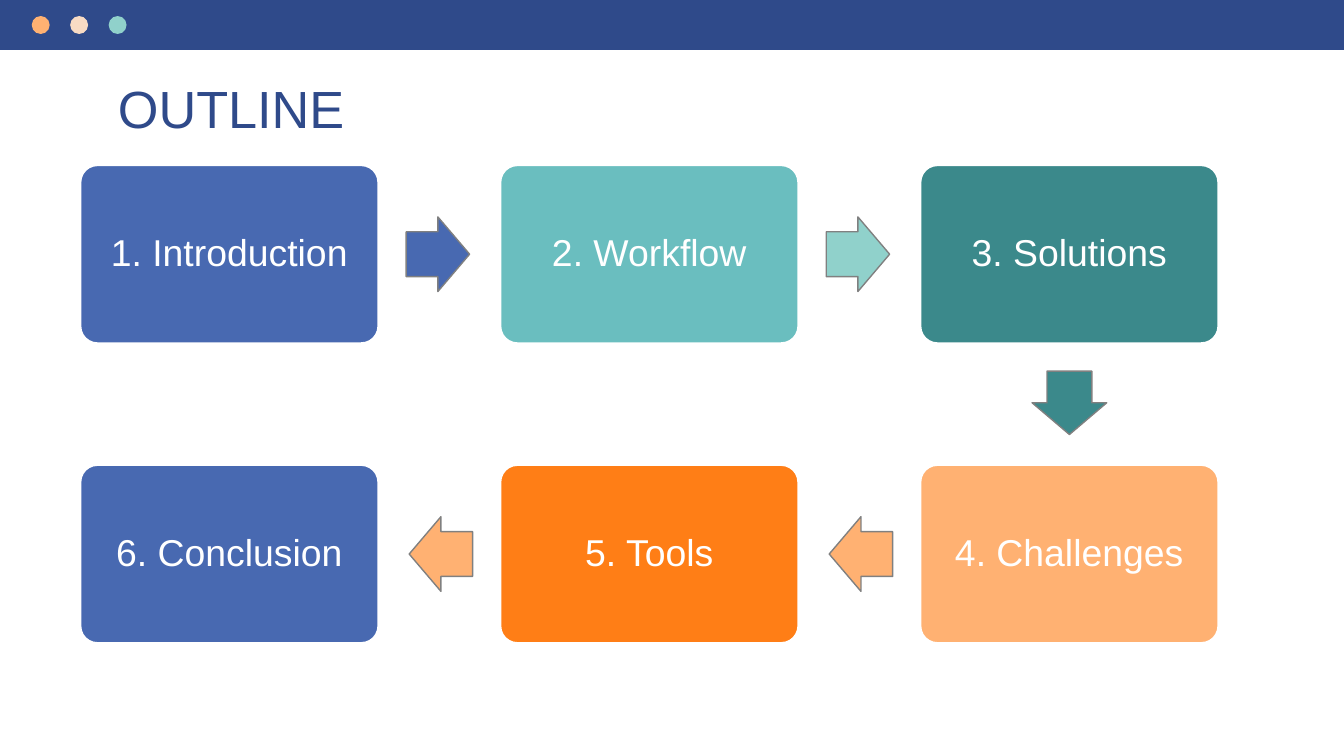
import dataclasses

import pptx
import pptx.dml.color
import pptx.enum.shapes
import pptx.enum.text
import pptx.util

Pt = pptx.util.Pt
SHAPES = pptx.enum.shapes.MSO_SHAPE
ANCHOR = pptx.enum.text.MSO_ANCHOR
ALIGN = pptx.enum.text.PP_ALIGN


@dataclasses.dataclass(frozen=True)
class Theme:
    font: str = "Arial"
    title_size: float = 28
    step_size: float = 20
    navy: str = "2F4A8A"
    blue: str = "4869B1"
    aqua: str = "6ABEBF"
    mint: str = "90D1CB"
    teal: str = "3B898B"
    peach: str = "FFB172"
    cream: str = "F8DBC4"
    orange: str = "FF7E16"
    white: str = "FFFFFF"
    gray: str = "808080"


@dataclasses.dataclass(frozen=True)
class Box:
    left: float
    top: float
    width: float
    height: float


THEME = Theme()

# Label, column, row, box colour, colour and rotation of the arrow leaving it
STEPS = [
    ("1. Introduction", 0, 0, THEME.blue, THEME.blue, 0),
    ("2. Workflow", 1, 0, THEME.aqua, THEME.mint, 0),
    ("3. Solutions", 2, 0, THEME.teal, THEME.teal, 90),
    ("4. Challenges", 2, 1, THEME.peach, THEME.peach, 180),
    ("5. Tools", 1, 1, THEME.orange, THEME.peach, 180),
    ("6. Conclusion", 0, 1, THEME.blue, None, None),
]
DIRECTIONS = {0: (1, 0), 90: (0, 1), 180: (-1, 0)}


def color(value):
    return pptx.dml.color.RGBColor.from_string(value)


def add_shape(slide, kind, box, fill, line=None, line_width=0):
    shape = slide.shapes.add_shape(
        kind, Pt(box.left), Pt(box.top), Pt(box.width), Pt(box.height))
    shape.shadow.inherit = False
    shape.fill.solid()
    shape.fill.fore_color.rgb = color(fill)
    if line:
        shape.line.color.rgb = color(line)
        shape.line.width = Pt(line_width)
    else:
        shape.line.fill.background()
    return shape


def write(shape, text, size, text_color, align, anchor, inset):
    frame = shape.text_frame
    frame.word_wrap = True
    frame.auto_size = pptx.enum.text.MSO_AUTO_SIZE.NONE
    frame.vertical_anchor = anchor
    frame.margin_left = frame.margin_right = Pt(inset)
    frame.margin_top = frame.margin_bottom = Pt(inset)
    paragraph = frame.paragraphs[0]
    paragraph.alignment = align
    run = paragraph.add_run()
    run.text = text
    run.font.name = THEME.font
    run.font.size = Pt(size)
    run.font.color.rgb = color(text_color)
    return paragraph


def add_header(slide, box):
    """Top bar with three dots at equal steps."""
    add_shape(slide, SHAPES.RECTANGLE, box, THEME.navy)
    diameter, pitch = 9.6, 20.6
    top = box.top + (box.height - diameter) / 2
    for index, fill in enumerate([THEME.peach, THEME.cream, THEME.mint]):
        left = box.left + 17 + index * pitch
        add_shape(slide, SHAPES.OVAL, Box(left, top, diameter, diameter), fill)


def add_title(slide, box):
    title = slide.shapes.title
    title.left, title.top = Pt(box.left), Pt(box.top)
    title.width, title.height = Pt(box.width), Pt(box.height)
    write(title, "OUTLINE", THEME.title_size, THEME.navy,
          ALIGN.LEFT, ANCHOR.TOP, 7.2)


def add_step(slide, box, label, fill):
    shape = add_shape(slide, SHAPES.ROUNDED_RECTANGLE, box, fill, THEME.white, 2)
    shape.adjustments[0] = 0.1
    paragraph = write(shape, label, THEME.step_size, THEME.white,
                      ALIGN.CENTER, ANCHOR.MIDDLE, 6)
    paragraph.line_spacing = 0.9


def add_arrow(slide, step_box, fill, rotation):
    """Block arrow that starts a fixed gap beyond one side of a step."""
    length, breadth, gap = 34, 40, 14.4
    across, down = DIRECTIONS[rotation]
    reach = gap + length / 2
    center_x = step_box.left + step_box.width / 2 + across * (step_box.width / 2 + reach)
    center_y = step_box.top + step_box.height / 2 + down * (step_box.height / 2 + reach)
    box = Box(center_x - length / 2, center_y - breadth / 2, length, breadth)
    arrow = add_shape(slide, SHAPES.RIGHT_ARROW, box, fill, THEME.gray, 0.75)
    arrow.adjustments[0] = 0.6
    arrow.adjustments[1] = 0.5
    arrow.rotation = rotation


def add_process(slide, box):
    """Three columns by two rows of steps, joined in a bend."""
    width, height = 160.6, 96.4
    column_pitch = (box.width - width) / 2
    row_pitch = box.height - height
    for label, column, row, fill, arrow_fill, rotation in STEPS:
        step_box = Box(box.left + column * column_pitch,
                       box.top + row * row_pitch, width, height)
        add_step(slide, step_box, label, fill)
        if arrow_fill:
            add_arrow(slide, step_box, arrow_fill, rotation)


def main():
    presentation = pptx.Presentation()
    presentation.slide_width, presentation.slide_height = Pt(720), Pt(405)
    slide = presentation.slides.add_slide(presentation.slide_layouts[5])
    slide.background.fill.solid()
    slide.background.fill.fore_color.rgb = color(THEME.white)
    add_title(slide, Box(56, 33.8, 608, 36.7))
    add_header(slide, Box(0, 0, 720, 26.8))
    add_process(slide, Box(42.6, 88, 610.6, 257))
    presentation.save("out.pptx")


if __name__ == "__main__":
    main()
